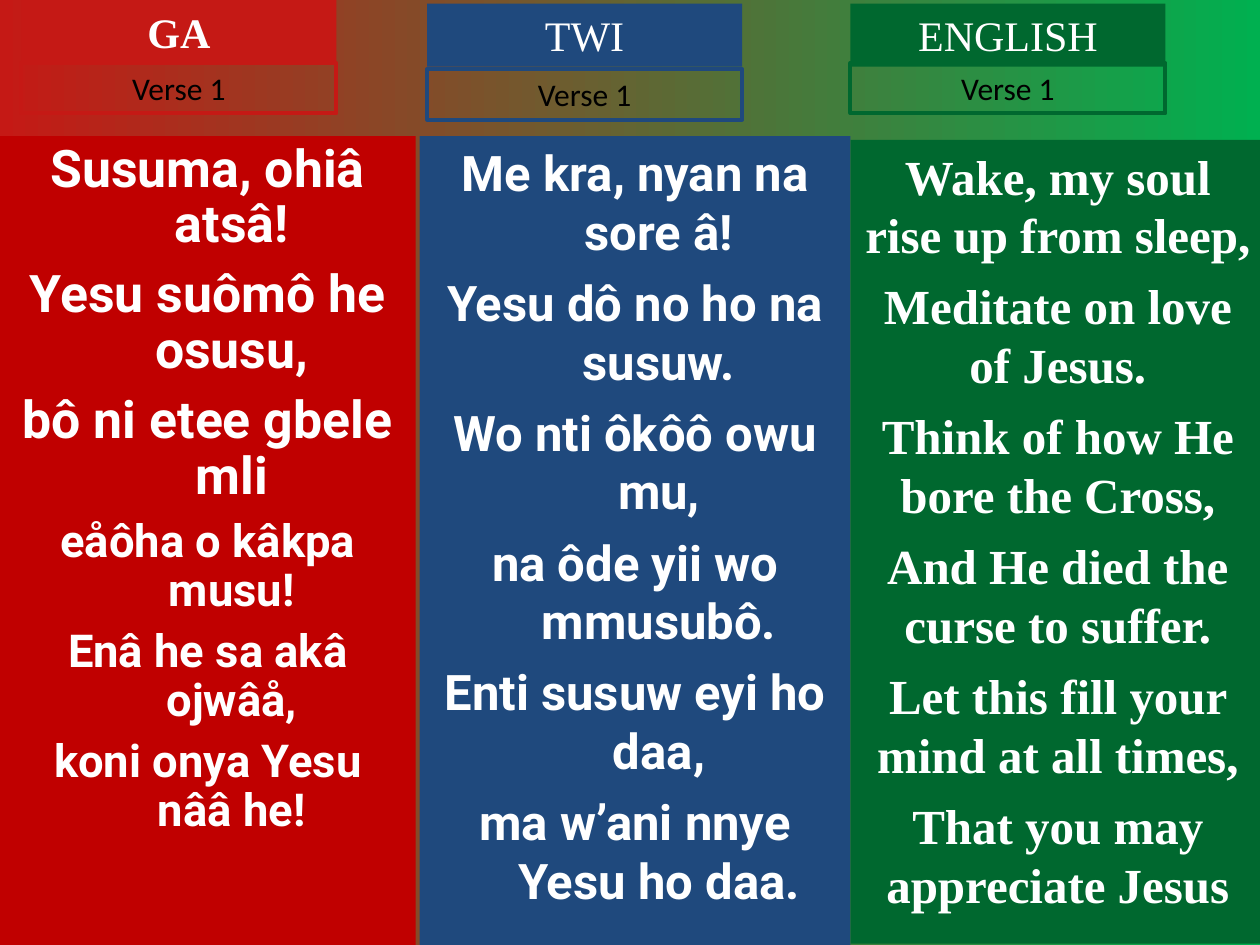
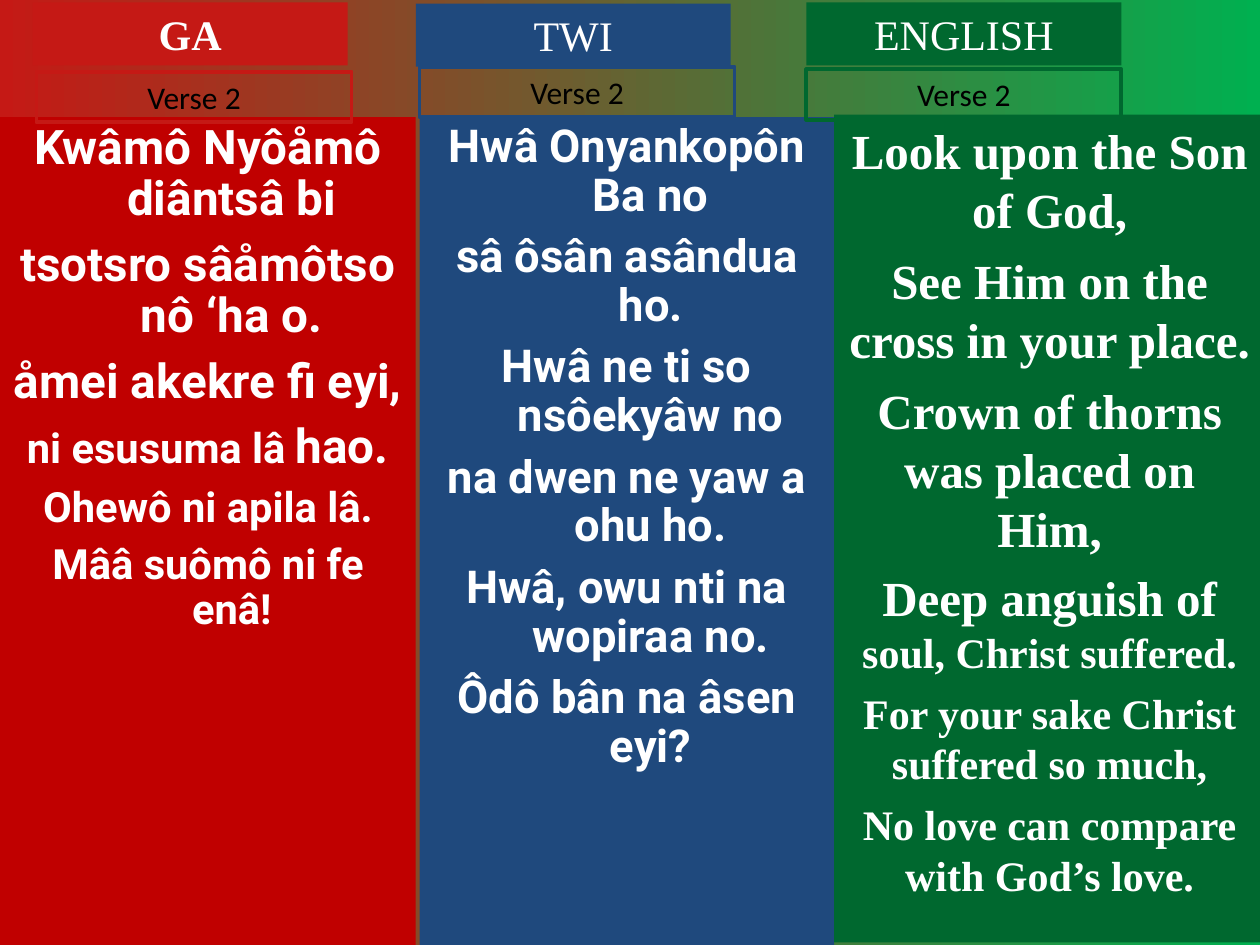
import pptx
import pptx.dml.color
import pptx.enum.shapes
import pptx.enum.text
import pptx.util
from pptx.util import Inches, Pt

# Shared look
WHITE, BLACK = "FFFFFF", "000000"
GRADIENT = ("C51915", "00B050")
HANGING = 0.38
TAG_WIDTH, HEADER_HEIGHT, LABEL_HEIGHT = 2.5, 0.5, 0.4
LANGUAGES = {
    "GA": {"panel": "C00000", "tag": "C51915", "font": "Roboto", "hanging": True},
    "TWI": {"panel": "1F497D", "tag": "1F497D", "font": "Roboto", "hanging": True},
    "ENGLISH": {"panel": "00682F", "tag": "00682F", "font": "Times New Roman",
                "hanging": False},
}

# Each lyric group: size, space before, lines; a line of mixed sizes is a list of spans
VERSES = [
    ("Verse 1", {
        "GA": {
            "panel": (0, 1.08, 3.3, 6.42), "header": (0.17, 0), "label": (0.17, 0.5),
            "spacing": 0.9,
            "lyrics": [
                (29.6, 8, ["Susuma, ohiâ atsâ!", "Yesu suômô he osusu,",
                           "bô ni etee gbele mli"]),
                (25.9, 7, ["eåôha o kâkpa musu!", "Enâ he sa akâ ojwâå,",
                           "koni onya Yesu nââ he!"]),
            ]},
        "TWI": {
            "panel": (3.33, 1.08, 3.42, 6.42), "header": (3.39, 0.03),
            "label": (3.39, 0.55), "spacing": 1.0,
            "lyrics": [
                (28, 7, ["Me kra, nyan na sore â!", "Yesu dô no ho na susuw.",
                         "Wo nti ôkôô owu mu,", "na ôde yii wo mmusubô.",
                         "Enti susuw eyi ho daa,", "ma w’ani nnye Yesu ho daa."]),
            ]},
        "ENGLISH": {
            "panel": (6.75, 1.11, 3.29, 6.38), "header": (6.75, 0.03),
            "label": (6.75, 0.5), "spacing": 1.0,
            "lyrics": [
                (28, 7, ["Wake, my soul rise up from sleep,",
                         "Meditate on love of Jesus.",
                         "Think of how He bore the Cross,",
                         "And He died the curse to suffer.",
                         "Let this fill your mind at all times,",
                         "That you may appreciate Jesus"]),
            ]},
    }),
    ("Verse 2", {
        "GA": {
            "panel": (0, 0.93, 3.3, 6.57), "header": (0.26, 0.02),
            "label": (0.29, 0.57), "spacing": 0.9,
            "lyrics": [
                (27.2, 8, ["Kwâmô Nyôåmô diântsâ bi", "tsotsro sâåmôtso nô ‘ha o.",
                           "åmei akekre fi eyi,",
                           [("ni esusuma lâ ", 23.8), ("hao.", 27.2)]]),
                (23.8, 7, ["Ohewô ni apila lâ.", "Mââ suômô ni fe enâ!"]),
            ]},
        "TWI": {
            "panel": (3.33, 0.93, 3.29, 6.57), "header": (3.3, 0.03),
            "label": (3.33, 0.53), "spacing": 0.9,
            "lyrics": [
                (25.9, 7, ["Hwâ Onyankopôn Ba no", "sâ ôsân asândua ho.",
                           "Hwâ ne ti so nsôekyâw no", "na dwen ne yaw a ohu ho.",
                           "Hwâ, owu nti na wopiraa no.", "Ôdô bân na âsen eyi?"]),
            ]},
        "ENGLISH": {
            "panel": (6.62, 0.91, 3.42, 6.57), "header": (6.4, 0.02),
            "label": (6.4, 0.55), "spacing": 1.0,
            "lyrics": [
                (28, 7, ["Look upon the Son of God,",
                         "See Him on the cross in your place.",
                         "Crown of thorns was placed on Him,"]),
                (24, 6, [[("Deep anguish of ", 28), ("soul, Christ suffered.", 24)],
                         "For your sake Christ suffered so much,",
                         "No love can compare with God’s love."]),
            ]},
    }),
]


def color(value):
    return pptx.dml.color.RGBColor.from_string(value)


def set_background(page):
    fill = page.background.fill
    fill.gradient()
    fill.gradient_angle = 0
    for stop, value in zip(fill.gradient_stops, GRADIENT):
        stop.color.rgb = color(value)


def add_box(page, left, top, width, height, fill=None, line=None):
    """Add a rectangle with top-anchored text."""
    box = page.shapes.add_shape(pptx.enum.shapes.MSO_SHAPE.RECTANGLE, Inches(left),
                                Inches(top), Inches(width), Inches(height))
    box.shadow.inherit = False
    if fill:
        box.fill.solid()
        box.fill.fore_color.rgb = color(fill)
    else:
        box.fill.background()
    if line:
        box.line.color.rgb = color(line)
        box.line.width = Pt(2.25)
    else:
        box.line.fill.background()
    box.text_frame.word_wrap = True
    box.text_frame.vertical_anchor = pptx.enum.text.MSO_ANCHOR.TOP
    return box


def style(para, font, size, value, bold=False):
    para.alignment = pptx.enum.text.PP_ALIGN.CENTER
    para.font.name = font
    para.font.size = Pt(size)
    para.font.bold = bold
    para.font.color.rgb = color(value)


def add_tag(page, place, height, text, font, size, value, bold=False, **paint):
    """Add a one-line box: a language header or a verse label."""
    box = add_box(page, *place, TAG_WIDTH, height, **paint)
    para = box.text_frame.paragraphs[0]
    para.text = text
    style(para, font, size, value, bold)


def add_lyrics(page, column, look):
    frame = add_box(page, *column["panel"], fill=look["panel"]).text_frame
    lines = [(size, before, line) for size, before, group in column["lyrics"]
             for line in group]
    for index, (size, before, line) in enumerate(lines):
        para = frame.add_paragraph() if index else frame.paragraphs[0]
        if look["hanging"]:
            properties = para._p.get_or_add_pPr()
            properties.set("marL", str(Inches(HANGING)))
            properties.set("indent", str(-Inches(HANGING)))
        para.line_spacing = column["spacing"]
        para.space_before = Pt(before if index else 0)
        style(para, look["font"], size, WHITE, bold=True)
        if isinstance(line, str):
            para.text = line
            continue
        for text, span_size in line:
            span = para.add_run()
            span.text = text
            span.font.size = Pt(span_size)


def add_verse(deck, verse, columns):
    page = deck.slides.add_slide(deck.slide_layouts[6])
    set_background(page)
    for language, column in columns.items():
        look = LANGUAGES[language]
        add_lyrics(page, column, look)
        add_tag(page, column["header"], HEADER_HEIGHT, language, "Times New Roman", 24,
                WHITE, bold=language == "GA", fill=look["tag"])
        add_tag(page, column["label"], LABEL_HEIGHT, verse, "Calibri", 18, BLACK,
                line=look["tag"])


def main():
    deck = pptx.Presentation()
    deck.slide_width, deck.slide_height = Inches(10), Inches(7.5)
    for verse, columns in VERSES:
        add_verse(deck, verse, columns)
    deck.save("out.pptx")


if __name__ == "__main__":
    main()
